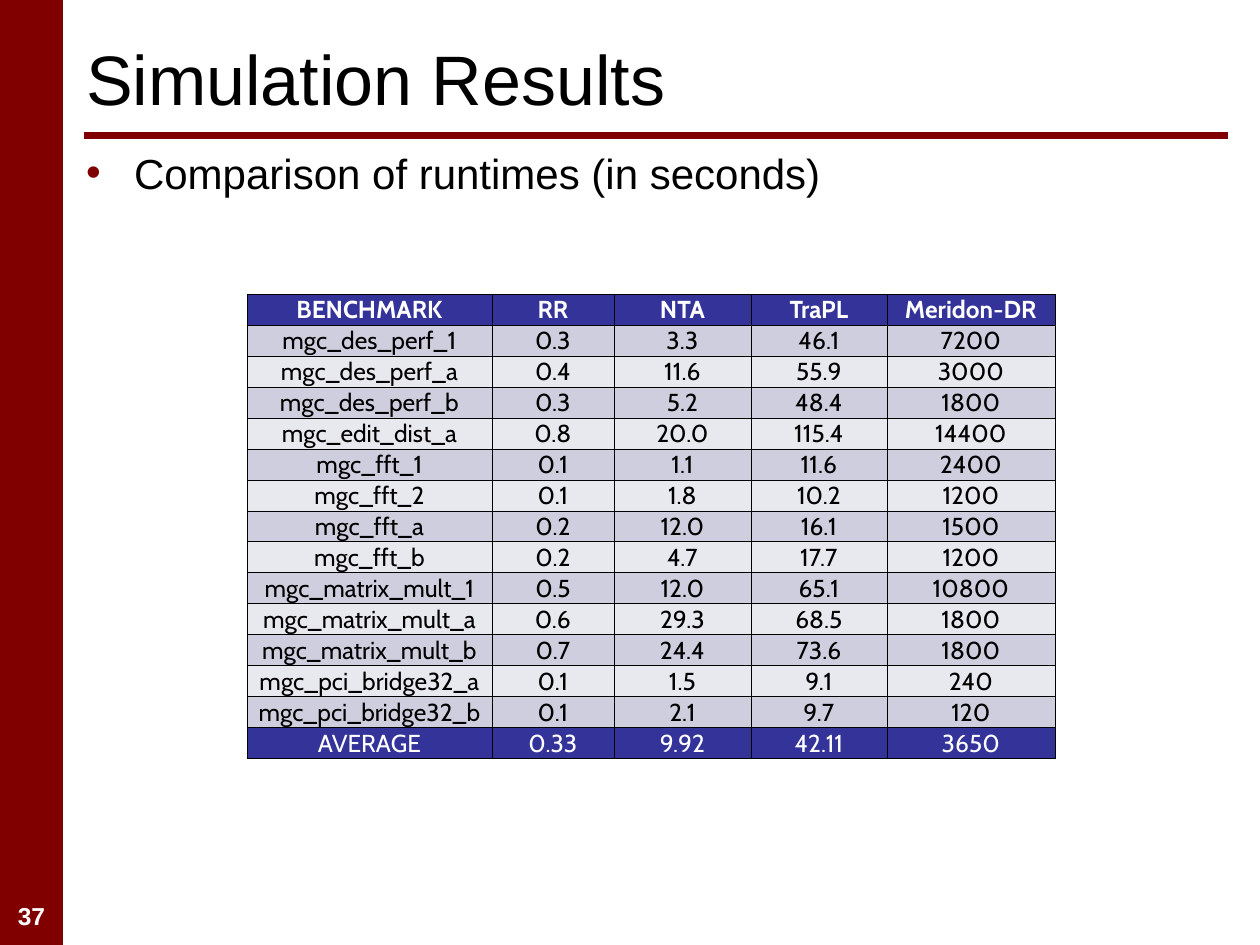
from dataclasses import dataclass

from lxml.etree import SubElement
from pptx import Presentation
from pptx.dml.color import RGBColor
from pptx.enum.shapes import MSO_CONNECTOR, MSO_SHAPE
from pptx.enum.text import MSO_ANCHOR, PP_ALIGN
from pptx.oxml.ns import qn
from pptx.util import Emu, Pt

PX_PER_INCH = 126
MAROON, NAVY, BLACK, WHITE = "800000", "333399", "000000", "FFFFFF"
BANDS = ("CECEDE", "E8E8EF")
COLUMN_WIDTHS = (245, 122, 137, 136, 168)
ROW_HEIGHT = 31
ROWS = (
    ("BENCHMARK", "RR", "NTA", "TraPL", "Meridon-DR"),
    ("mgc_des_perf_1", "0.3", "3.3", "46.1", "7200"),
    ("mgc_des_perf_a", "0.4", "11.6", "55.9", "3000"),
    ("mgc_des_perf_b", "0.3", "5.2", "48.4", "1800"),
    ("mgc_edit_dist_a", "0.8", "20.0", "115.4", "14400"),
    ("mgc_fft_1", "0.1", "1.1", "11.6", "2400"),
    ("mgc_fft_2", "0.1", "1.8", "10.2", "1200"),
    ("mgc_fft_a", "0.2", "12.0", "16.1", "1500"),
    ("mgc_fft_b", "0.2", "4.7", "17.7", "1200"),
    ("mgc_matrix_mult_1", "0.5", "12.0", "65.1", "10800"),
    ("mgc_matrix_mult_a", "0.6", "29.3", "68.5", "1800"),
    ("mgc_matrix_mult_b", "0.7", "24.4", "73.6", "1800"),
    ("mgc_pci_bridge32_a", "0.1", "1.5", "9.1", "240"),
    ("mgc_pci_bridge32_b", "0.1", "2.1", "9.7", "120"),
    ("AVERAGE", "0.33", "9.92", "42.11", "3650"),
)


@dataclass
class TextBox:
    text: str
    left: int
    top: int
    width: int
    height: int
    size: int
    color: str = BLACK
    bold: bool = False
    align: PP_ALIGN = PP_ALIGN.LEFT
    anchor: MSO_ANCHOR = MSO_ANCHOR.TOP
    margin_x: int = 13
    margin_top: int = 6
    bullet_indent: int = 0


TEXT_BOXES = (
    TextBox("37", 0, 892, 63, 42, 14, WHITE, True, PP_ALIGN.CENTER, margin_top=9),
    TextBox("Simulation Results", 73, 10, 1155, 136, 40, anchor=MSO_ANCHOR.MIDDLE),
    TextBox("Comparison of runtimes (in seconds)", 73, 136, 1155, 179, 24,
            margin_top=11, bullet_indent=48),
)


def px(length: int) -> Emu:
    return Emu(round(length * 914400 / PX_PER_INCH))


def rgb(color: str) -> RGBColor:
    return RGBColor.from_string(color)


def format_font(font, name: str, size: int, color: str, bold: bool) -> None:
    font.name = name
    font.size = Pt(size)
    font.bold = bold
    font.color.rgb = rgb(color)


def add_bullet(paragraph, indent: int, color: str) -> None:
    properties = paragraph._p.get_or_add_pPr()
    properties.set("marL", str(px(indent)))
    properties.set("indent", str(-px(indent)))
    bullet_color = SubElement(properties, qn("a:buClr"))
    SubElement(bullet_color, qn("a:srgbClr"), val=color)
    SubElement(properties, qn("a:buFont"), typeface="Arial")
    SubElement(properties, qn("a:buChar"), char="•")


def add_text(slide, box: TextBox) -> None:
    shape = slide.shapes.add_textbox(px(box.left), px(box.top), px(box.width), px(box.height))
    frame = shape.text_frame
    frame.word_wrap = True
    frame.vertical_anchor = box.anchor
    frame.margin_left = frame.margin_right = px(box.margin_x)
    frame.margin_top = px(box.margin_top)
    frame.text = box.text
    paragraph = frame.paragraphs[0]
    paragraph.alignment = box.align
    if box.bullet_indent:
        add_bullet(paragraph, box.bullet_indent, MAROON)
    format_font(paragraph.runs[0].font, "Arial", box.size, box.color, box.bold)


def add_sidebar(slide) -> None:
    sidebar = slide.shapes.add_shape(MSO_SHAPE.RECTANGLE, 0, 0, px(63), px(945))
    sidebar.shadow.inherit = False
    sidebar.fill.solid()
    sidebar.fill.fore_color.rgb = rgb(MAROON)
    sidebar.line.fill.background()


def add_title_rule(slide) -> None:
    rule = slide.shapes.add_connector(MSO_CONNECTOR.STRAIGHT, px(84), px(136), px(1228), px(136))
    rule.line.color.rgb = rgb(MAROON)
    rule.line.width = Pt(4)
    SubElement(rule._element.spPr, qn("a:effectLst"))


def add_borders(cell) -> None:
    properties = cell._tc.get_or_add_tcPr()
    for side in ("lnL", "lnR", "lnT", "lnB"):
        border = SubElement(properties, qn(f"a:{side}"), w=str(Pt(0.25)))
        fill = SubElement(border, qn("a:solidFill"))
        SubElement(fill, qn("a:srgbClr"), val=BLACK)


def format_cell(cell, text: str, fill: str, color: str, bold: bool) -> None:
    add_borders(cell)
    cell.fill.solid()
    cell.fill.fore_color.rgb = rgb(fill)
    cell.margin_left = cell.margin_right = cell.margin_top = px(1)
    cell.margin_bottom = 0
    cell.vertical_anchor = MSO_ANCHOR.BOTTOM
    cell.text = text
    paragraph = cell.text_frame.paragraphs[0]
    paragraph.alignment = PP_ALIGN.CENTER
    format_font(paragraph.runs[0].font, "Cabin", 14, color, bold)


def add_runtime_table(slide, left: int, top: int) -> None:
    table = slide.shapes.add_table(
        len(ROWS), len(COLUMN_WIDTHS), px(left), px(top),
        px(sum(COLUMN_WIDTHS)), px(ROW_HEIGHT * len(ROWS))).table
    for column, width in zip(table.columns, COLUMN_WIDTHS):
        column.width = px(width)
    for index, values in enumerate(ROWS):
        table.rows[index].height = px(ROW_HEIGHT)
        is_header = index == 0
        is_dark = is_header or index == len(ROWS) - 1
        fill = NAVY if is_dark else BANDS[(index - 1) % 2]
        for cell, value in zip(table.rows[index].cells, values):
            format_cell(cell, value, fill, WHITE if is_dark else BLACK, is_header)


def main() -> None:
    presentation = Presentation()
    presentation.slide_width = px(1260)
    presentation.slide_height = px(945)
    slide = presentation.slides.add_slide(presentation.slide_layouts[6])

    # Sidebar and rule under the title
    add_sidebar(slide)
    add_title_rule(slide)

    # Page number, title and bullet
    for box in TEXT_BOXES:
        add_text(slide, box)

    # Runtimes per benchmark
    add_runtime_table(slide, 247, 294)

    presentation.save("out.pptx")


if __name__ == "__main__":
    main()
